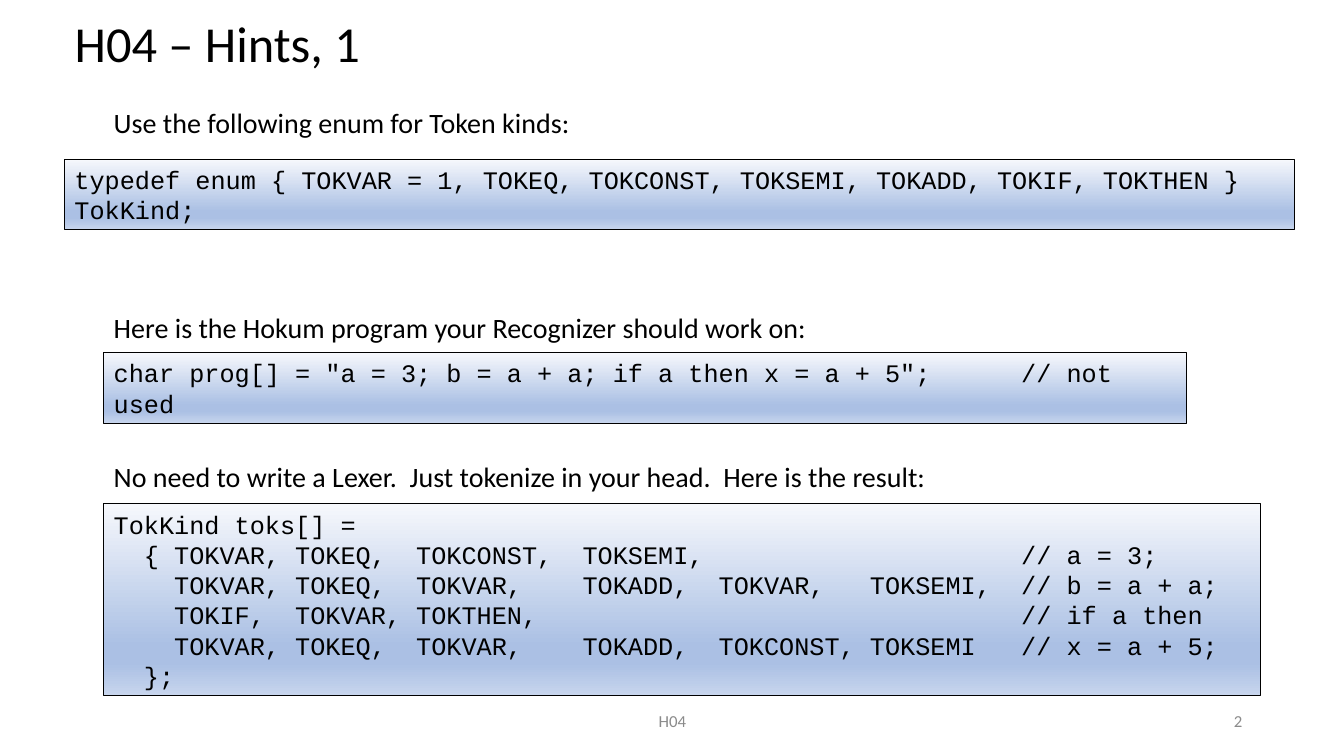
import pptx
import pptx.dml.color
import pptx.enum.shapes
import pptx.enum.text
import pptx.oxml
import pptx.oxml.ns
import pptx.util

Inches = pptx.util.Inches
Pt = pptx.util.Pt
RGBColor = pptx.dml.color.RGBColor
Align = pptx.enum.text.PP_ALIGN
Anchor = pptx.enum.text.MSO_ANCHOR

BLACK = RGBColor(0x00, 0x00, 0x00)
GRAY = RGBColor(0x8B, 0x8B, 0x8B)
PALE = RGBColor(0xF6, 0xF8, 0xFC)
BLUE = RGBColor(0xAB, 0xC0, 0xE4)
LIGHT = RGBColor(0xC7, 0xD5, 0xED)
STOPS = [(0, PALE), (74, BLUE), (83, BLUE), (100, LIGHT)]

TITLE = {"name": "Calibri", "size": Pt(36)}
LABEL = {"name": "Calibri", "size": Pt(20)}
CODE = {"name": "Courier New", "size": Pt(18)}
FOOT = {"name": "Calibri", "size": Pt(12)}
FRAME = {
    "word_wrap": True,
    "auto_size": pptx.enum.text.MSO_AUTO_SIZE.NONE,
    "margin_left": Inches(0.1),
    "margin_right": Inches(0.1),
    "margin_top": Inches(0.05),
    "margin_bottom": Inches(0.05),
}

HINTS = [
    ("Use the following enum for Token kinds:",
     (1.03, 1, 7.03, 0.43), (0.64, 1.58, 12.2, 0.7),
     ["typedef enum { TOKVAR = 1, TOKEQ, TOKCONST, TOKSEMI, TOKADD, TOKIF, TOKTHEN } TokKind;"]),
    ("Here is the Hokum program your Recognizer should work on:",
     (1.03, 3.03, 10.03, 0.43), (1.03, 3.5, 10.74, 0.7),
     ['char prog[] = "a = 3; b = a + a; if a then x = a + 5";      // not used']),
    ("No need to write a Lexer.  Just tokenize in your head.  Here is the result:",
     (1.03, 4.51, 10.77, 0.43), (1.03, 5, 11.47, 1.9),
     ["TokKind toks[] =",
      "  { TOKVAR, TOKEQ,  TOKCONST,  TOKSEMI,                     // a = 3;",
      "    TOKVAR, TOKEQ,  TOKVAR,    TOKADD,  TOKVAR,   TOKSEMI,  // b = a + a;",
      "    TOKIF,  TOKVAR, TOKTHEN,                                // if a then",
      "    TOKVAR, TOKEQ,  TOKVAR,    TOKADD,  TOKCONST, TOKSEMI   // x = a + 5;",
      "  };"]),
]


def apply(target, values):
    for key, value in values.items():
        setattr(target, key, value)


def write(shape, lines, style, color=BLACK, align=Align.LEFT, anchor=Anchor.TOP):
    frame = shape.text_frame
    apply(frame, {**FRAME, "vertical_anchor": anchor})
    frame.text = "\n".join(lines)
    for para in frame.paragraphs:
        para.alignment = align
        for run in para.runs:
            apply(run.font, style)
            run.font.color.rgb = color


def add_title(slide, box, text):
    title = slide.shapes.title
    apply(title, dict(zip(("left", "top", "width", "height"), map(Inches, box))))
    write(title, [text], TITLE)


def add_label(slide, box, text, style=LABEL, **look):
    label = slide.shapes.add_textbox(*map(Inches, box))
    write(label, [text], style, **look)


def shade(shape):
    shape.fill.gradient()
    shape.fill.gradient_angle = 270
    stops = shape.fill._xPr.find(".//" + pptx.oxml.ns.qn("a:gsLst"))
    stops.clear()
    space = pptx.oxml.ns.nsdecls("a")
    for place, color in STOPS:
        stops.append(pptx.oxml.parse_xml(
            f'<a:gs {space} pos="{place * 1000}"><a:srgbClr val="{color}"/></a:gs>'))


def add_code(slide, box, lines):
    kind = pptx.enum.shapes.MSO_SHAPE.RECTANGLE
    panel = slide.shapes.add_shape(kind, *map(Inches, box))
    panel.shadow.inherit = False
    shade(panel)
    panel.line.color.rgb = BLACK
    panel.line.width = Pt(0.75)
    write(panel, lines, CODE)


def add_foot(slide, box, name, page):
    left, top, width, height = box
    look = {"style": FOOT, "color": GRAY, "anchor": Anchor.MIDDLE}
    add_label(slide, (left, top, 4.5, height), name, align=Align.CENTER, **look)
    add_label(slide, (left + width - 3, top, 3, height), page, align=Align.RIGHT, **look)


def add_hints(deck):
    slide = deck.slides.add_slide(deck.slide_layouts[5])
    add_title(slide, (0.64, 0.07, 11.39, 0.7), "H04 – Hints, 1")
    for text, spot, box, lines in HINTS:
        add_code(slide, box, lines)
        add_label(slide, spot, text)
    add_foot(slide, (4.42, 6.95, 8, 0.4), "H04", "2")


deck = pptx.Presentation()
deck.slide_width = Inches(13.33)
deck.slide_height = Inches(7.5)
add_hints(deck)
deck.save("out.pptx")
